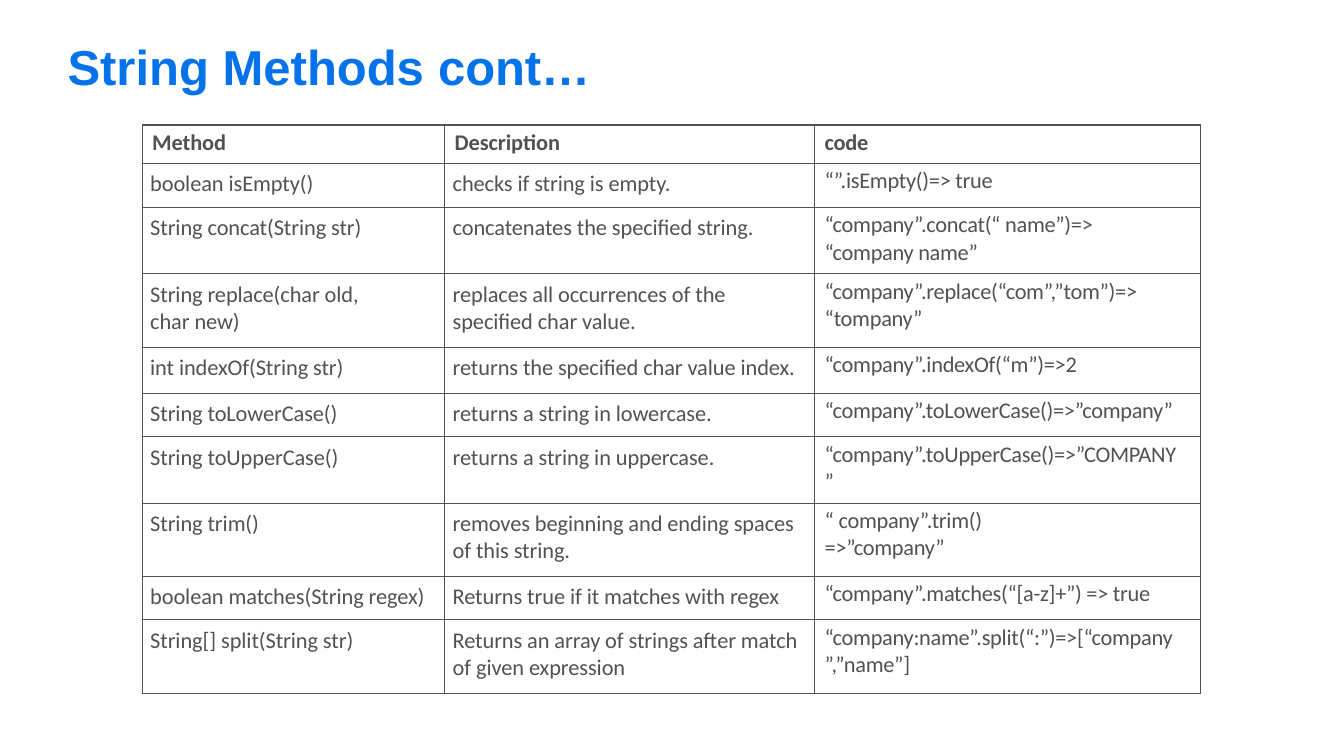
from lxml.etree import SubElement
from pptx import Presentation
from pptx.dml.color import RGBColor
from pptx.oxml.ns import qn
from pptx.util import Inches, Pt

COLORS = {"title": "0473EA", "text": "525254", "border": "525254"}
COLUMN_WIDTHS = [3, 3.67, 3.83]
ROW_HEIGHTS = [0.38, 0.44, 0.66, 0.73, 0.46, 0.43, 0.66, 0.73, 0.43, 0.73]
METHOD_ROWS = [
    ("Method", "Description", "code"),
    ("boolean isEmpty()", "checks if string is empty.", "“”.isEmpty()=> true"),
    ("String concat(String str)", "concatenates the specified string.",
     "“company”.concat(“ name”)=>\n“company name”"),
    ("String replace(char old,\nchar new)",
     "replaces all occurrences of the\nspecified char value.",
     "“company”.replace(“com”,”tom”)=>\n“tompany”"),
    ("int indexOf(String str)", "returns the specified char value index.",
     "“company”.indexOf(“m”)=>2"),
    ("String toLowerCase()", "returns a string in lowercase.",
     "“company”.toLowerCase()=>”company”"),
    ("String toUpperCase()", "returns a string in uppercase.",
     "“company”.toUpperCase()=>”COMPANY ”"),
    ("String trim()", "removes beginning and ending spaces of this string.",
     "“ company”.trim()\n=>”company”"),
    ("boolean matches(String regex)", "Returns true if it matches with regex",
     "“company”.matches(“[a-z]+”) => true"),
    ("String[] split(String str)",
     "Returns an array of strings after match\nof given expression",
     "“company:name”.split(“:”)=>[“company\n”,”name”]"),
]


def add_run(paragraph, text, font_name, size, color, bold=False, spacing=0):
    """Add one formatted run, with letter spacing in hundredths of a point."""
    run = paragraph.add_run()
    run.text = text
    run.font.name = font_name
    run.font.size = Pt(size)
    run.font.bold = bold
    run.font.color.rgb = RGBColor.from_string(COLORS[color])
    run.font._element.set("spc", str(spacing))


def set_borders(cell):
    """Draw a thin line on all four sides of a cell."""
    properties = cell._tc.get_or_add_tcPr()
    for position, side in enumerate(("a:lnL", "a:lnR", "a:lnT", "a:lnB")):
        line = SubElement(properties, qn(side), w=str(Pt(1)))
        fill = SubElement(line, qn("a:solidFill"))
        SubElement(fill, qn("a:srgbClr"), val=COLORS["border"])
        properties.insert(position, line)


def fill_cell(cell, text, is_header, is_code):
    """Write the lines of a cell with the spacing of its kind."""
    compact = is_header or is_code
    cell.margin_left = cell.margin_bottom = 0
    cell.margin_right = Inches(0.17 if is_code else 0)
    cell.margin_top = Inches(0.04 if compact else 0.07)
    cell.fill.background()
    set_borders(cell)
    frame = cell.text_frame
    for index, line in enumerate(text.split("\n")):
        paragraph = frame.paragraphs[0] if index == 0 else frame.add_paragraph()
        paragraph.space_before = Pt(0 if index else 2.6 if compact else 5.3)
        indent = Inches(0.1 if compact else 0.08)
        paragraph._p.get_or_add_pPr().set("marL", str(indent))
        add_run(paragraph, line, "Calibri", 16, "text", is_header,
                -20 if is_code else -5)


def add_title(slide, left, top, width, height):
    """Place the slide heading in the given box."""
    shape = slide.shapes.add_textbox(
        Inches(left), Inches(top), Inches(width), Inches(height))
    frame = shape.text_frame
    frame.word_wrap = True
    frame.margin_left = frame.margin_right = frame.margin_bottom = 0
    frame.margin_top = Inches(0.01)
    paragraph = frame.paragraphs[0]
    paragraph.space_before = Pt(1.1)
    add_run(paragraph, "String Methods ", "Arial", 35, "title", True)
    add_run(paragraph, "cont…", "Arial", 35, "title", True, -10)


def add_method_table(slide, left, top, width, height):
    """Place the table of string methods in the given box."""
    table = slide.shapes.add_table(
        len(METHOD_ROWS), len(COLUMN_WIDTHS),
        Inches(left), Inches(top), Inches(width), Inches(height)).table
    table.first_row = table.horz_banding = False
    for column, share in zip(table.columns, COLUMN_WIDTHS):
        column.width = Inches(width * share / sum(COLUMN_WIDTHS))
    for row, share in zip(table.rows, ROW_HEIGHTS):
        row.height = Inches(height * share / sum(ROW_HEIGHTS))
    for row_index, texts in enumerate(METHOD_ROWS):
        for column_index, text in enumerate(texts):
            fill_cell(table.cell(row_index, column_index), text,
                      row_index == 0, column_index == 2)


def main():
    """Build the slide and save it."""
    presentation = Presentation()
    presentation.slide_width = Inches(13.33)
    presentation.slide_height = Inches(7.5)
    slide = presentation.slides.add_slide(presentation.slide_layouts[6])
    add_title(slide, 0.67, 0.35, 10.4, 0.61)
    add_method_table(slide, 1.41, 1.24, 10.5, 5.64)
    presentation.save("out.pptx")


if __name__ == "__main__":
    main()
